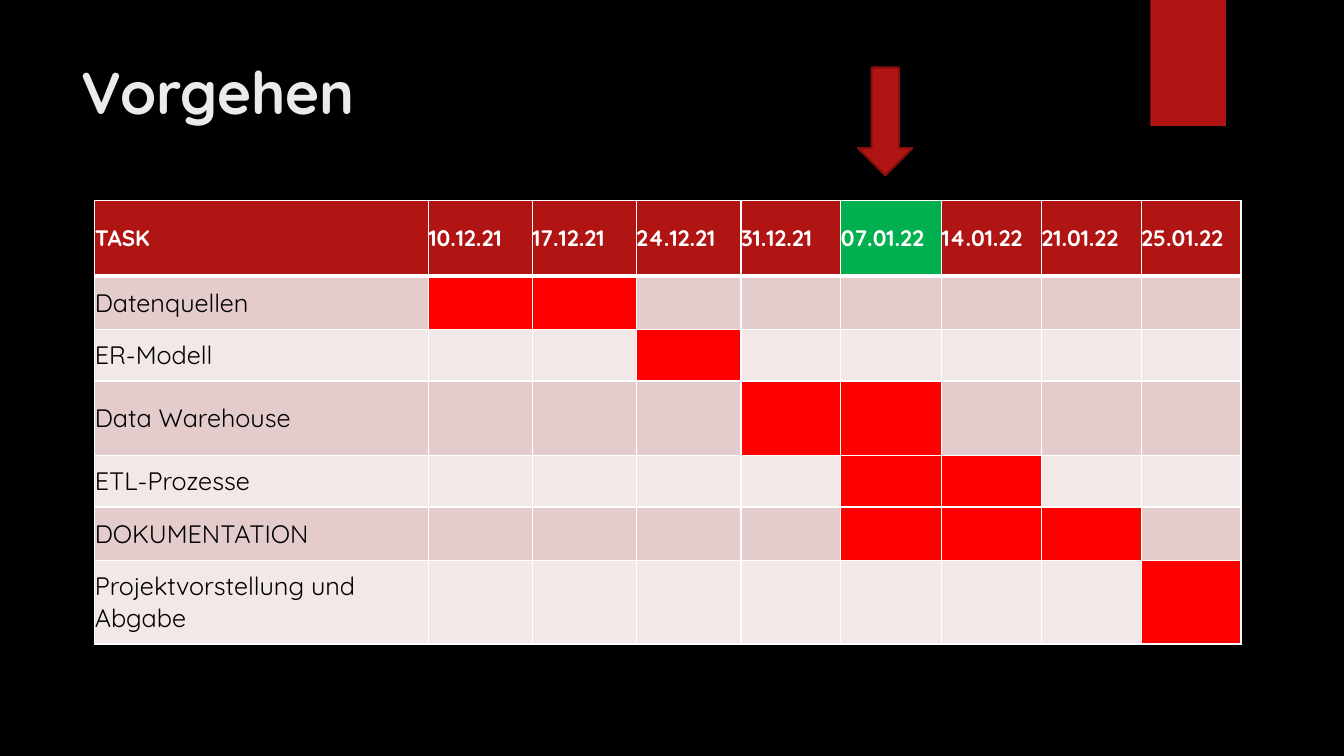
"""Build the project schedule slide "Vorgehen" with python-pptx."""
from lxml import etree
from pptx import Presentation
from pptx.dml.color import RGBColor
from pptx.enum.shapes import MSO_SHAPE
from pptx.enum.text import MSO_ANCHOR, MSO_AUTO_SIZE, PP_ALIGN
from pptx.oxml.ns import qn
from pptx.util import Inches, Pt

RECTANGLE = MSO_SHAPE.RECTANGLE
DOWN_ARROW = MSO_SHAPE.DOWN_ARROW
TOP, MIDDLE = MSO_ANCHOR.TOP, MSO_ANCHOR.MIDDLE
LEFT = PP_ALIGN.LEFT
NO_AUTOFIT = MSO_AUTO_SIZE.NONE

FONT = "Quicksand"
TITLE_ONLY_LAYOUT = 5
COLORS = {
    "background": "000000",
    "title": "EBEBEB",
    "accent": "B01513",
    "accent_edge": "82100E",
    "current": "00B050",
    "busy": "FF0000",
    "band_dark": "E4CCCC",
    "band_light": "F2E8E7",
    "white": "FFFFFF",
    "black": "000000",
}
DATES = ["10.12.21", "17.12.21", "24.12.21", "31.12.21",
         "07.01.22", "14.01.22", "21.01.22", "25.01.22"]
CURRENT_DATE = "07.01.22"
TASKS = [
    ("Datenquellen", ["10.12.21", "17.12.21"]),
    ("ER-Modell", ["24.12.21"]),
    ("Data Warehouse\u00a0", ["31.12.21", "07.01.22"]),
    ("ETL-Prozesse", ["07.01.22", "14.01.22"]),
    ("DOKUMENTATION", ["07.01.22", "14.01.22", "21.01.22"]),
    ("Projektvorstellung und Abgabe", ["25.01.22"]),
]
COLUMN_WIDTHS = [3.31, 1.03, 1.03, 1.04, 0.99, 1, 0.99, 0.99, 0.99]
ROW_HEIGHTS = [0.75, 0.53, 0.51, 0.74, 0.51, 0.53, 0.83]


def color(name):
    return RGBColor.from_string(COLORS[name])


def paint(fill, name):
    fill.solid()
    fill.fore_color.rgb = color(name)


def add_run(paragraph, text, size, color_name, bold=False):
    paragraph.alignment = LEFT
    run = paragraph.add_run()
    run.text = text
    run.font.name = FONT
    run.font.size = Pt(size)
    run.font.bold = bold
    run.font.color.rgb = color(color_name)


def add_title(slide, text):
    title = slide.shapes.title
    title.left, title.top = Inches(0.71), Inches(0.5)
    title.width, title.height = Inches(10.29), Inches(1.53)
    frame = title.text_frame
    frame.word_wrap = True
    frame.auto_size = NO_AUTOFIT
    frame.vertical_anchor = TOP
    add_run(frame.paragraphs[0], text, 42, "title", bold=True)


def add_accent_shape(slide, kind, left, top, width, height, edge=None):
    shape = slide.shapes.add_shape(
        kind, Inches(left), Inches(top), Inches(width), Inches(height))
    shape.shadow.inherit = False
    paint(shape.fill, "accent")
    if edge:
        paint(shape.line.fill, edge)
        shape.line.width = Pt(1.5)
    else:
        shape.line.fill.background()


def add_borders(cell, top_width, bottom_width):
    properties = cell._tc.get_or_add_tcPr()
    widths = {"a:lnL": 1, "a:lnR": 1, "a:lnT": top_width, "a:lnB": bottom_width}
    for tag, width in widths.items():
        line = etree.SubElement(properties, qn(tag), w=str(Pt(width)))
        fill = etree.SubElement(line, qn("a:solidFill"))
        etree.SubElement(fill, qn("a:srgbClr"), val=COLORS["white"])


def format_cell(cell, row, fill_name):
    cell.margin_left = cell.margin_right = 0
    cell.margin_top = cell.margin_bottom = 0
    cell.vertical_anchor = MIDDLE
    add_borders(cell, 3 if row == 1 else 1, 3 if row == 0 else 1)
    paint(cell.fill, fill_name)


def fill_header(table):
    for column, text in enumerate(["TASK"] + DATES):
        cell = table.cell(0, column)
        format_cell(cell, 0, "current" if text == CURRENT_DATE else "accent")
        add_run(cell.text_frame.paragraphs[0], text, 16, "white", bold=True)


def fill_task(table, row, task, busy_dates):
    band = "band_dark" if row % 2 else "band_light"
    name_cell = table.cell(row, 0)
    format_cell(name_cell, row, band)
    add_run(name_cell.text_frame.paragraphs[0], task, 18, "black")
    for column, date in enumerate(DATES, start=1):
        format_cell(table.cell(row, column), row,
                    "busy" if date in busy_dates else band)


def add_schedule(slide):
    table = slide.shapes.add_table(
        len(ROW_HEIGHTS), len(COLUMN_WIDTHS), Inches(0.94), Inches(1.99),
        Inches(sum(COLUMN_WIDTHS)), Inches(sum(ROW_HEIGHTS))).table
    table.horz_banding = False
    for column, width in zip(table.columns, COLUMN_WIDTHS):
        column.width = Inches(width)
    for row, height in zip(table.rows, ROW_HEIGHTS):
        row.height = Inches(height)
    fill_header(table)
    for row, (task, busy_dates) in enumerate(TASKS, start=1):
        fill_task(table, row, task, busy_dates)


def main():
    presentation = Presentation()
    presentation.slide_width = Inches(13.33)
    presentation.slide_height = Inches(7.5)
    layout = presentation.slide_layouts[TITLE_ONLY_LAYOUT]
    slide = presentation.slides.add_slide(layout)
    paint(slide.background.fill, "background")
    add_accent_shape(slide, RECTANGLE, 11.41, 0, 0.75, 1.25)
    add_title(slide, "Vorgehen")
    add_schedule(slide)
    add_accent_shape(slide, DOWN_ARROW, 8.51, 0.67, 0.54, 1.07, "accent_edge")
    presentation.save("out.pptx")


main()
